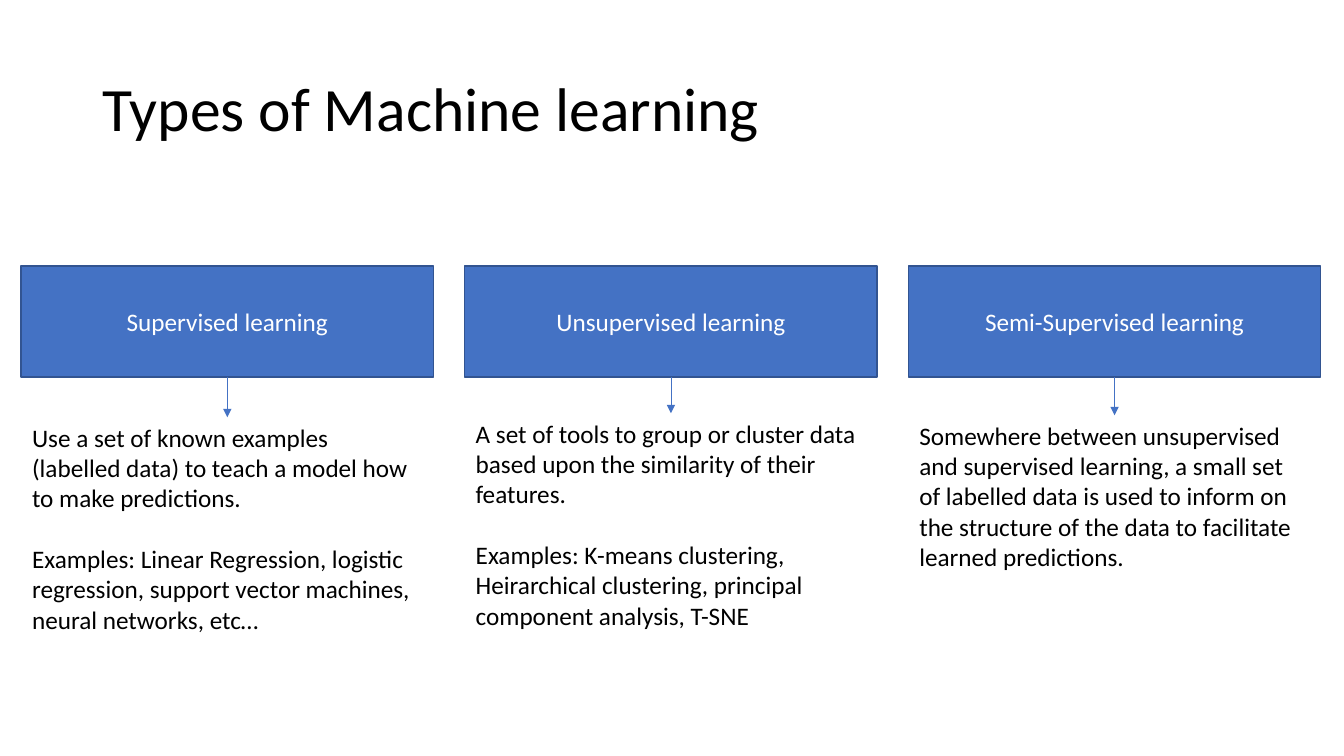
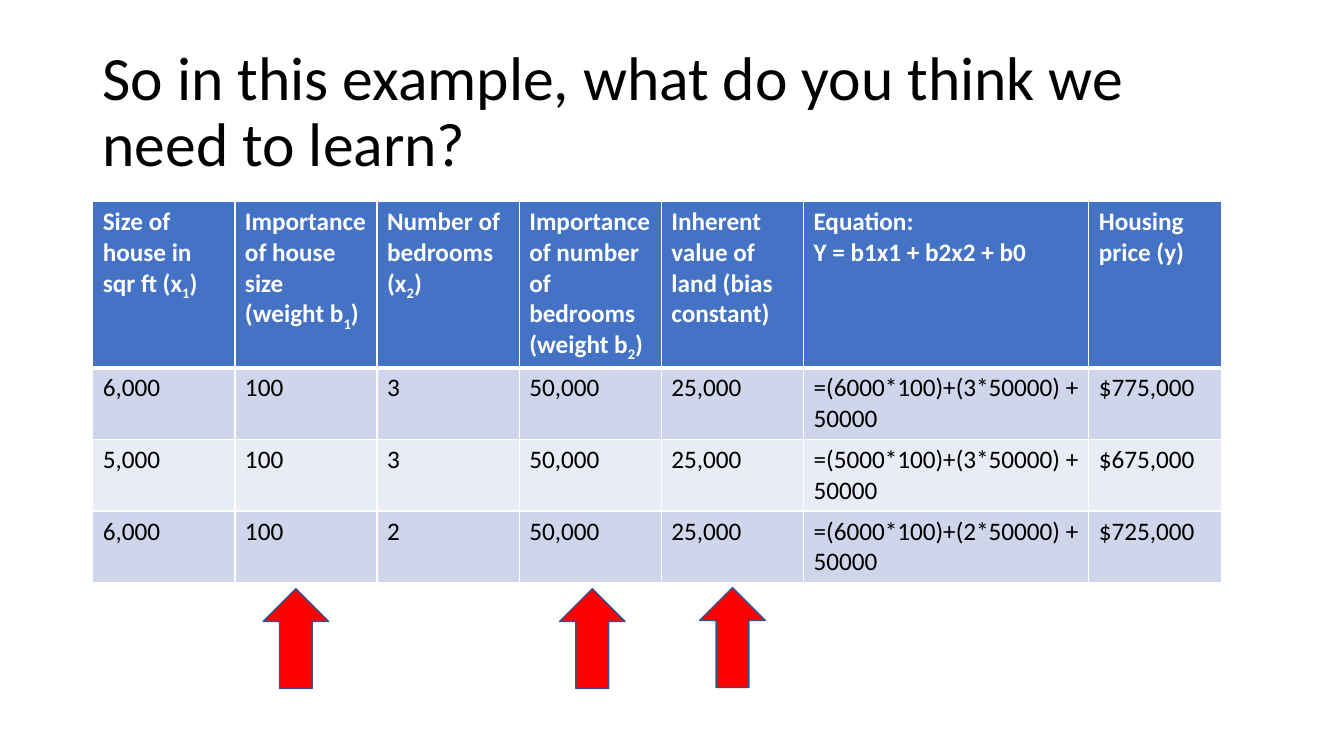
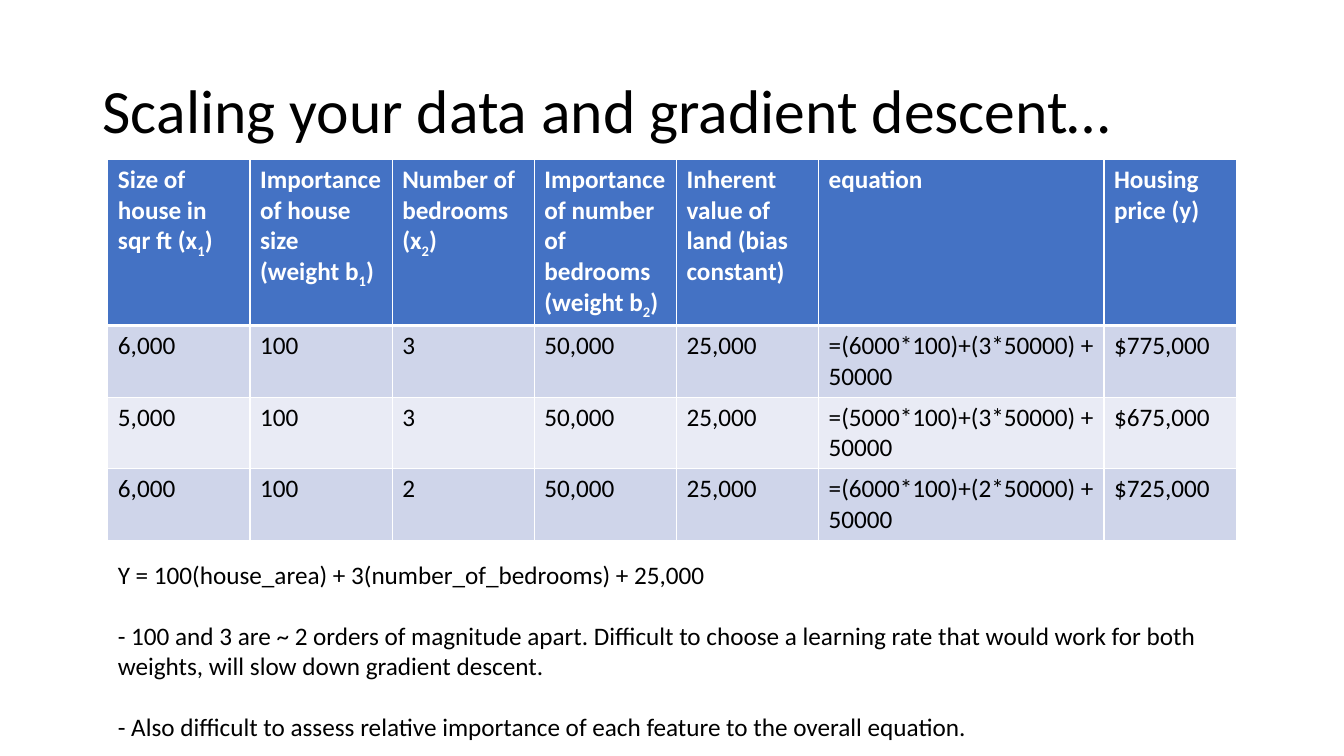
"""Build three slides on types of machine learning, weights and data scaling."""
from lxml import etree
from pptx import Presentation
from pptx.dml.color import RGBColor
from pptx.enum.shapes import MSO_CONNECTOR, MSO_SHAPE
from pptx.enum.text import MSO_ANCHOR, PP_ALIGN
from pptx.oxml.ns import qn
from pptx.util import Inches, Pt

BLACK = RGBColor(0x00, 0x00, 0x00)
WHITE = RGBColor(0xFF, 0xFF, 0xFF)
BLUE = RGBColor(0x44, 0x72, 0xC4)
OUTLINE = RGBColor(0x32, 0x54, 0x91)
RED = RGBColor(0xFF, 0x00, 0x00)
BAND_DARK = RGBColor(0xCF, 0xD5, 0xEA)
BAND_LIGHT = RGBColor(0xE9, 0xEB, 0xF5)
FONT = "Calibri"
CENTER, LEFT = PP_ALIGN.CENTER, PP_ALIGN.LEFT
TOP, MIDDLE = MSO_ANCHOR.TOP, MSO_ANCHOR.MIDDLE
RECTANGLE, UP_ARROW = MSO_SHAPE.RECTANGLE, MSO_SHAPE.UP_ARROW
STRAIGHT = MSO_CONNECTOR.STRAIGHT
BOTTOM_SITE, TOP_SITE = 2, 0
BLANK_LINE = 21.7

LEARNING_TYPES = [
    ("Supervised learning", 4.14, 2.22,
     "Use a set of known examples (labelled data) to teach a model how to make predictions.\n"
     "Examples: Linear Regression, logistic regression, support vector machines, "
     "neural networks, etc…"),
    ("Unsupervised learning", 4.1, 2.22,
     "A set of tools to group or cluster data based upon the similarity of their features.\n"
     "Examples: K-means clustering, Heirarchical clustering, principal component analysis, T-SNE"),
    ("Semi-Supervised learning", 4.12, 1.62,
     "Somewhere between unsupervised and supervised learning, a small set of labelled data is "
     "used to inform on the structure of the data to facilitate learned predictions."),
]
TYPE_LEFT, TYPE_TOP, TYPE_WIDTH, TYPE_HEIGHT, TYPE_PITCH = 0.21, 2.64, 4.09, 1.1, 4.4

HEADINGS = [
    "Size of house in sqr ft (x{1})",
    "Importance of house size (weight b{1})",
    "Number of bedrooms (x{2})",
    "Importance of number of bedrooms (weight b{2})",
    "Inherent value of land (bias constant)",
]
PRICE_HEADING = "Housing price (y)"
HOUSES = [
    ("6,000", "100", "3", "50,000", "25,000", "=(6000*100)+(3*50000) + 50000", "$775,000"),
    ("5,000", "100", "3", "50,000", "25,000", "=(5000*100)+(3*50000) + 50000", "$675,000"),
    ("6,000", "100", "2", "50,000", "25,000", "=(6000*100)+(2*50000) + 50000", "$725,000"),
]
COLUMN_WIDTHS = [1.41] * 5 + [2.83, 1.32]
ROW_HEIGHTS = [1.65] + [0.71] * len(HOUSES)

LEARNED_ARROWS = [(2.61, 5.84), (5.55, 5.84), (6.94, 5.83)]
SCALING_NOTES = (
    "Y = 100(house_area) + 3(number_of_bedrooms) + 25,000\n"
    "- 100 and 3 are ~ 2 orders of magnitude apart. Difficult to choose a learning rate that "
    "would work for both weights, will slow down gradient descent.\n"
    "- Also difficult to assess relative importance of each feature to the overall equation."
)


def write(frame, text, size=18, color=BLACK, bold=False, align=LEFT, gap=0, spacing=1.0):
    """Fill a frame: newlines part paragraphs, braces mark subscripts."""
    frame.word_wrap = True
    for index, line in enumerate(text.split("\n")):
        paragraph = frame.add_paragraph() if index else frame.paragraphs[0]
        paragraph.alignment = align
        paragraph.line_spacing = spacing
        if index and gap:
            paragraph.space_before = Pt(gap)
        for part, piece in enumerate(line.replace("}", "{").split("{")):
            run = paragraph.add_run()
            run.text = piece
            run.font.name, run.font.size, run.font.bold = FONT, Pt(size), bold
            run.font.color.rgb = color
            if part % 2:
                run._r.get_or_add_rPr().set("baseline", "-25000")


def add_text(slide, box, text, anchor=TOP, **style):
    """Add a text box at left, top, width, height in inches."""
    area = slide.shapes.add_textbox(*map(Inches, box))
    area.text_frame.vertical_anchor = anchor
    write(area.text_frame, text, **style)
    return area


def add_block(slide, kind, box, fill):
    """Add an outlined preset shape."""
    block = slide.shapes.add_shape(kind, *map(Inches, box))
    block.shadow.inherit = False
    block.fill.solid()
    block.fill.fore_color.rgb = fill
    block.line.color.rgb = OUTLINE
    block.line.width = Pt(1)
    return block


def add_arrow(slide, source, target):
    """Join the bottom of one part to the top of another."""
    arrow = slide.shapes.add_connector(STRAIGHT, 0, 0, 0, 0)
    arrow.begin_connect(source, BOTTOM_SITE)
    arrow.end_connect(target, TOP_SITE)
    arrow.line.color.rgb = BLUE
    arrow.line.width = Pt(0.5)
    etree.SubElement(arrow.line._get_or_add_ln(), qn("a:tailEnd"), type="triangle")
    etree.SubElement(arrow._element.spPr, qn("a:effectLst"))


def set_borders(cell, weights):
    """Draw white cell borders with the given point weights."""
    properties = cell._tc.get_or_add_tcPr()
    for side, weight in weights.items():
        border = etree.SubElement(properties, qn(f"a:ln{side}"), w=str(Pt(weight)))
        fill = etree.SubElement(border, qn("a:solidFill"))
        etree.SubElement(fill, qn("a:srgbClr"), val=str(WHITE))


def add_house_table(slide, left, top, equation_heading):
    """Add the table of houses, weights and prices."""
    rows = [HEADINGS + [equation_heading, PRICE_HEADING]] + HOUSES
    table = slide.shapes.add_table(
        len(rows), len(COLUMN_WIDTHS), Inches(left), Inches(top),
        Inches(sum(COLUMN_WIDTHS)), Inches(sum(ROW_HEIGHTS))).table
    for column, width in zip(table.columns, COLUMN_WIDTHS):
        column.width = Inches(width)
    for r, values in enumerate(rows):
        table.rows[r].height = Inches(ROW_HEIGHTS[r])
        heading = r == 0
        band = BLUE if heading else BAND_DARK if r % 2 else BAND_LIGHT
        weights = {"L": 1, "R": 1, "T": 3 if r == 1 else 1, "B": 3 if heading else 1}
        for c, value in enumerate(values):
            cell = table.cell(r, c)
            set_borders(cell, weights)
            cell.fill.solid()
            cell.fill.fore_color.rgb = band
            write(cell.text_frame, value, color=WHITE if heading else BLACK, bold=heading)


def add_titled_slide(deck, title, top=0.4):
    """Add a blank slide with the shared title style."""
    slide = deck.slides.add_slide(deck.slide_layouts[6])
    add_text(slide, (0.92, top, 11.5, 1.45), title, anchor=MIDDLE, size=44, spacing=0.9)
    return slide


def main():
    """Build and save the deck."""
    deck = Presentation()
    deck.slide_width, deck.slide_height = Inches(13.33), Inches(7.5)

    types = add_titled_slide(deck, "Types of Machine learning", top=0.38)
    for index, (name, top, height, description) in enumerate(LEARNING_TYPES):
        left = TYPE_LEFT + index * TYPE_PITCH
        header = add_block(types, RECTANGLE, (left, TYPE_TOP, TYPE_WIDTH, TYPE_HEIGHT), BLUE)
        header.text_frame.vertical_anchor = MIDDLE
        write(header.text_frame, name, color=WHITE, align=CENTER)
        body = add_text(types, (left + 0.01, top, TYPE_WIDTH - 0.02, height), description,
                        gap=BLANK_LINE)
        add_arrow(types, header, body)

    learned = add_titled_slide(deck, "So in this example, what do you think we need to learn?")
    add_house_table(learned, 0.92, 2, "Equation:\nY = b1x1 + b2x2 + b0")
    for left, top in LEARNED_ARROWS:
        add_block(learned, UP_ARROW, (left, top, 0.65, 0.99), RED)

    scaling = add_titled_slide(deck, "Scaling your data and gradient descent…")
    add_house_table(scaling, 1.07, 1.58, "equation")
    add_text(scaling, (1.07, 5.5, 11.67, 1.92), SCALING_NOTES, gap=BLANK_LINE)

    deck.save("out.pptx")


if __name__ == "__main__":
    main()
